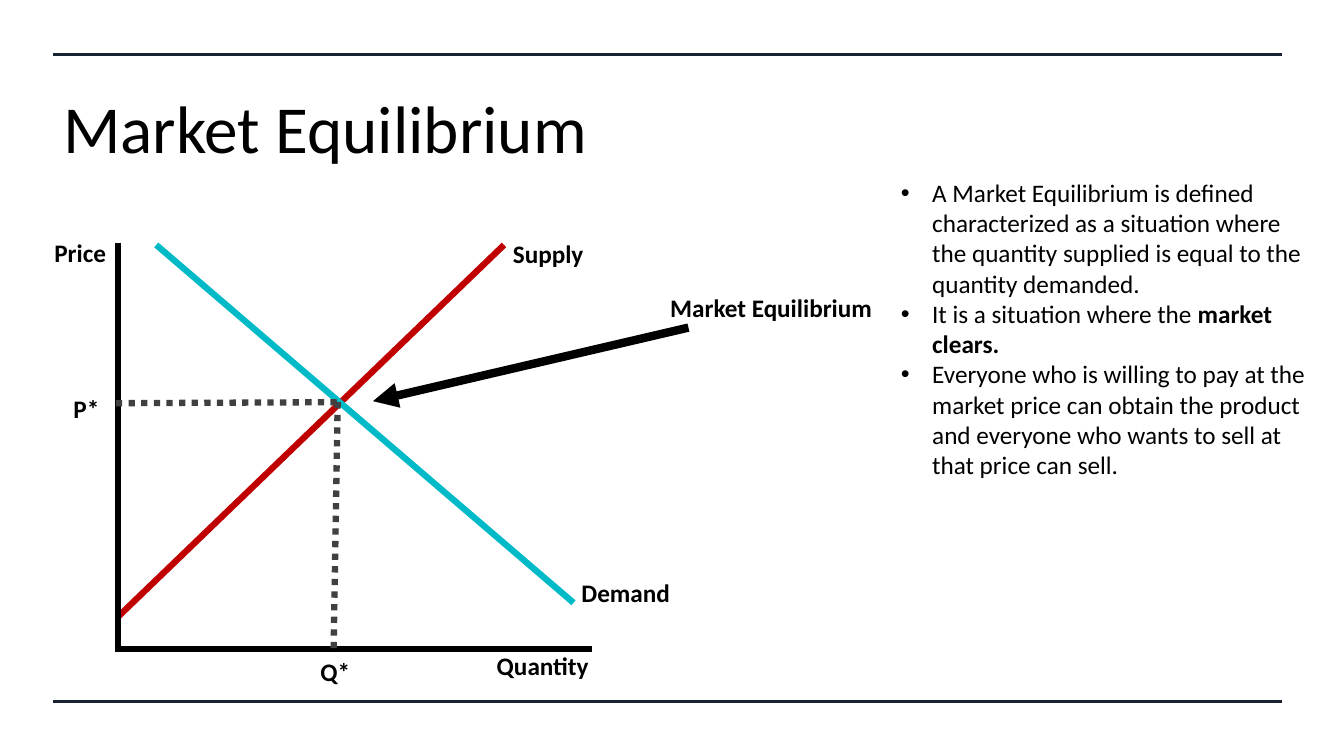
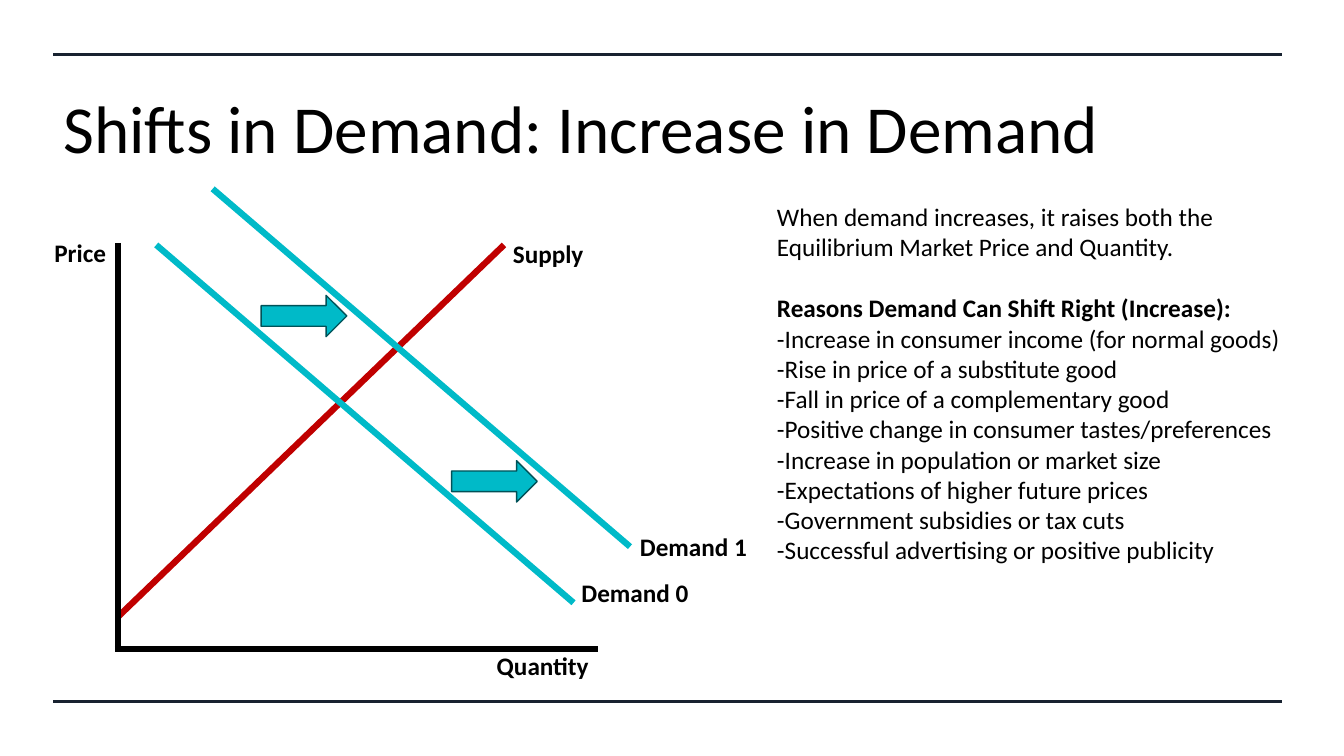
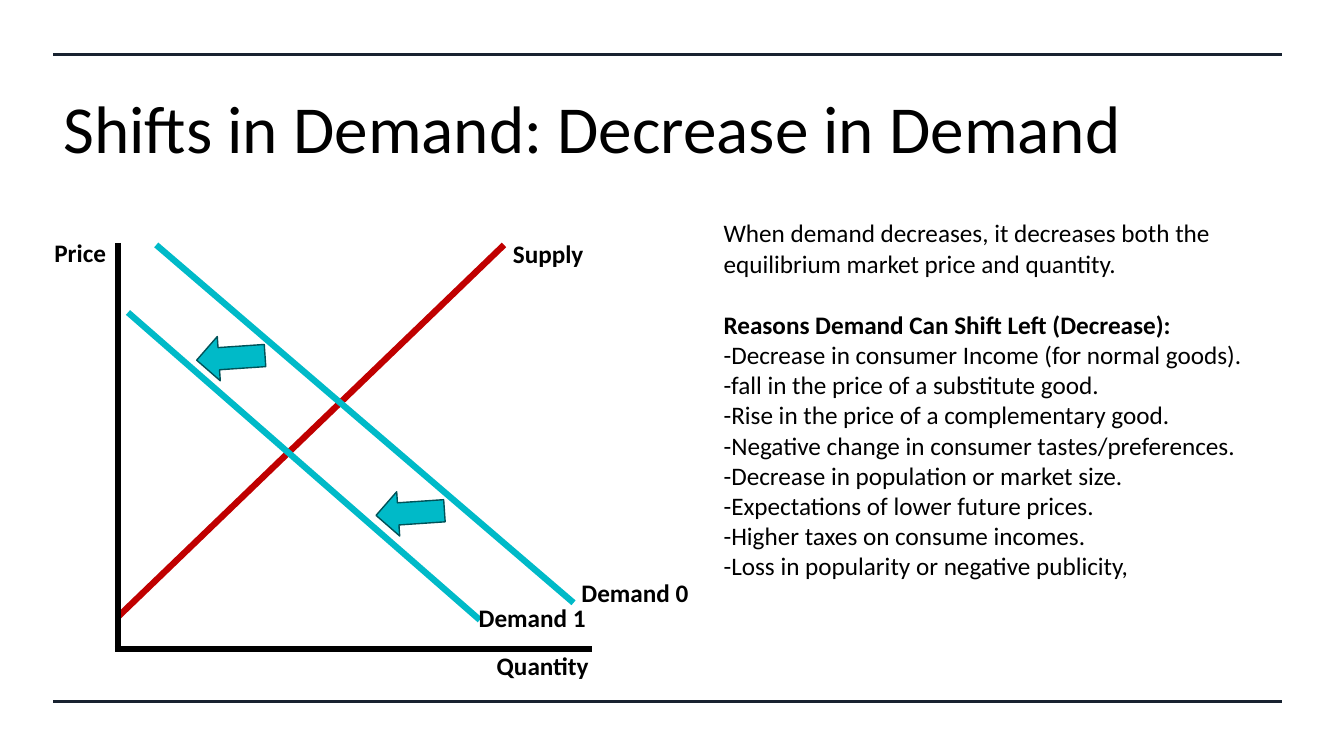
"""Three slides on market equilibrium and demand shifts, laid out on a 40 by 22.5 grid."""
from lxml import etree
from pptx import Presentation
from pptx import util as u
from pptx.dml.color import RGBColor
from pptx.enum import dml, shapes, text
from pptx.oxml.ns import qn

COLS, ROWS = 40, 22.5
CELL = u.Emu(304800)
FONT = "Calibri"
COLORS = {"rule": "182230", "ink": "000000", "supply": "C00000",
          "demand": "00BAC8", "edge": "005258", "guide": "404040"}
SUPPLY = ((3.51, 18.36), (15, 7.29))
DEMAND = ((4.65, 7.29), (17.07, 17.94))
ORIGIN, AXIS_TOP, AXIS_HALF = (3.51, 19.32), 7.23, 0.09


def grid(*vals):
    """Turn grid units into lengths."""
    return [u.Emu(round(v * CELL)) for v in vals]


def rgb(name):
    """Look up a palette colour."""
    return RGBColor.from_string(COLORS[name])


def add_line(s, start, end, color, width=4.5, dash=None, arrow=False):
    """Draw a straight line, optionally dashed or with an arrowhead."""
    c = s.shapes.add_connector(shapes.MSO_CONNECTOR.STRAIGHT, *grid(*start, *end))
    c.line.color.rgb = rgb(color)
    c.line.width = u.Pt(width)
    if dash:
        c.line.dash_style = dash
    if arrow:
        etree.SubElement(c.line._get_or_add_ln(), qn("a:tailEnd"), type="triangle")
    etree.SubElement(c._element.spPr, qn("a:effectLst"))


def add_run(p, content, size=18, bold=False):
    """Append a styled run to a paragraph."""
    r = p.add_run()
    r.text = content
    r.font.name, r.font.size, r.font.bold = FONT, u.Pt(size), bold
    r.font.color.rgb = rgb("ink")


def add_box(s, box, wrap=True):
    """Add an empty text box and return its frame."""
    tf = s.shapes.add_textbox(*grid(*box)).text_frame
    tf.word_wrap = wrap
    return tf


def add_label(s, content, x, y, width):
    """Add a bold diagram label."""
    tf = add_box(s, (x, y, width, 1.2), wrap=False)
    tf.auto_size = text.MSO_AUTO_SIZE.SHAPE_TO_FIT_TEXT
    add_run(tf.paragraphs[0], content, bold=True)


def next_paragraph(tf, i):
    """Return the first paragraph for index 0 and a new one otherwise."""
    return tf.add_paragraph() if i else tf.paragraphs[0]


def add_bullets(s, box, items):
    """Add bulleted paragraphs, each a list of (text, bold) runs."""
    tf = add_box(s, box)
    for i, runs in enumerate(items):
        p = next_paragraph(tf, i)
        pPr = p._p.get_or_add_pPr()
        pPr.set("marL", str(u.Inches(0.31)))
        pPr.set("indent", str(-u.Inches(0.31)))
        etree.SubElement(pPr, qn("a:buFont"), typeface="Arial")
        etree.SubElement(pPr, qn("a:buChar"), char="•")
        for content, bold in runs:
            add_run(p, content, bold=bold)


def add_reasons(s, box, intro, heading, reasons):
    """Add an intro, a bold heading set apart from it, and dashed reasons."""
    tf = add_box(s, box)
    for i, content in enumerate([intro, heading, *("-" + r for r in reasons)]):
        p = next_paragraph(tf, i)
        if content == heading:
            p.space_before = u.Pt(22)
        add_run(p, content, bold=content == heading)


def add_block_arrow(s, x, y, width, height, rotation=0):
    """Add an arrow showing which way demand moves."""
    sp = s.shapes.add_shape(shapes.MSO_SHAPE.RIGHT_ARROW, *grid(x, y, width, height))
    sp.shadow.inherit = False
    sp.rotation = rotation
    sp.fill.solid()
    sp.fill.fore_color.rgb = rgb("demand")
    sp.line.color.rgb = rgb("edge")
    sp.line.width = u.Pt(1)


def add_base(prs, title):
    """Add a blank slide with its two rules and title."""
    s = prs.slides.add_slide(prs.slide_layouts[6])
    for y in (1.62, 20.88):
        add_line(s, (1.59, y), (38.16, y), "rule", 2.25)
    tf = add_box(s, (1.59, 1.95, 34.89, 3.66))
    tf.vertical_anchor = text.MSO_ANCHOR.MIDDLE
    add_run(tf.paragraphs[0], title, 48)
    return s


def add_market(s, demand_label, label_width, axis_end=17.61):
    """Draw the axes with the supply curve and the first demand curve."""
    x, y = ORIGIN
    add_line(s, *SUPPLY, "supply")
    add_line(s, (x, AXIS_TOP), (x, y + AXIS_HALF), "ink")
    add_line(s, (x - AXIS_HALF, y), (axis_end, y), "ink")
    add_line(s, *DEMAND, "demand")
    add_label(s, "Price", 1.32, 6.93, 2.37)
    add_label(s, "Quantity", 14.49, 19.2, 3.69)
    add_label(s, "Supply", 14.97, 6.96, 2.73)
    add_label(s, demand_label, 17.01, 17.04, label_width)


def equilibrium_slide(prs):
    """Build the slide that defines equilibrium."""
    s = add_base(prs, "Market Equilibrium")
    add_market(s, "Demand", 3.48)
    crossing = (10.05, 11.97)
    dots = dml.MSO_LINE.ROUND_DOT
    add_line(s, (3.45, 12), crossing, "guide", dash=dots)
    add_line(s, crossing, (9.93, 19.29), "guide", dash=dots)
    add_line(s, (20.49, 9.75), (11.1, 11.94), "ink", 6, arrow=True)
    add_label(s, "Market Equilibrium", 19.65, 8.55, 7.32)
    add_label(s, "P*", 1.89, 11.55, 1.47)
    add_label(s, "Q*", 9.24, 19.38, 1.56)
    add_bullets(s, (26.52, 5.13, 13.02, 10.29), [
        [("A Market Equilibrium is defined characterized as a situation where "
          "the quantity supplied is equal to the quantity demanded.", False)],
        [("It is a situation where the ", False), ("market clears.", True)],
        [("Everyone who is willing to pay at the market price can obtain the "
          "product and everyone who wants to sell at that price can sell.", False)],
    ])


def increase_slide(prs):
    """Build the slide on rising demand."""
    s = add_base(prs, "Shifts in Demand: Increase in Demand")
    add_market(s, "Demand 0", 4.05, axis_end=17.79)
    add_line(s, *((x + 1.68, y - 1.67) for x, y in DEMAND), "demand")
    add_label(s, "Demand 1", 18.75, 15.66, 4.05)
    for x, y in ((7.77, 8.79), (13.44, 13.71)):
        add_block_arrow(s, x, y, 2.55, 1.23)
    add_reasons(
        s, (22.83, 5.85, 17.17, 13.92),
        "When demand increases, it raises both the Equilibrium Market Price and Quantity.",
        "Reasons Demand Can Shift Right (Increase):",
        ["Increase in consumer income (for normal goods)",
         "Rise in price of a substitute good",
         "Fall in price of a complementary good",
         "Positive change in consumer tastes/preferences",
         "Increase in population or market size",
         "Expectations of higher future prices",
         "Government subsidies or tax cuts",
         "Successful advertising or positive publicity"])


def decrease_slide(prs):
    """Build the slide on falling demand."""
    s = add_base(prs, "Shifts in Demand: Decrease in Demand")
    add_market(s, "Demand 0", 4.05)
    add_line(s, (3.81, 9.3), (14.28, 18.45), "demand")
    add_label(s, "Demand 1", 13.95, 17.79, 4.05)
    for x, y in ((5.85, 9.99), (11.19, 14.61)):
        add_block_arrow(s, x, y, 2.04, 1.32, 176.1)
    add_reasons(
        s, (21.24, 6.33, 17.34, 13.02),
        "When demand decreases, it decreases both the equilibrium market price and quantity.",
        "Reasons Demand Can Shift Left (Decrease):",
        ["Decrease in consumer Income (for normal goods).",
         "fall in the price of a substitute good.",
         "Rise in the price of a complementary good.",
         "Negative change in consumer tastes/preferences.",
         "Decrease in population or market size.",
         "Expectations of lower future prices.",
         "Higher taxes on consume incomes.",
         "Loss in popularity or negative publicity,"])


def main():
    """Build and save the presentation."""
    prs = Presentation()
    prs.slide_width, prs.slide_height = grid(COLS, ROWS)
    equilibrium_slide(prs)
    increase_slide(prs)
    decrease_slide(prs)
    prs.save("out.pptx")


if __name__ == "__main__":
    main()
